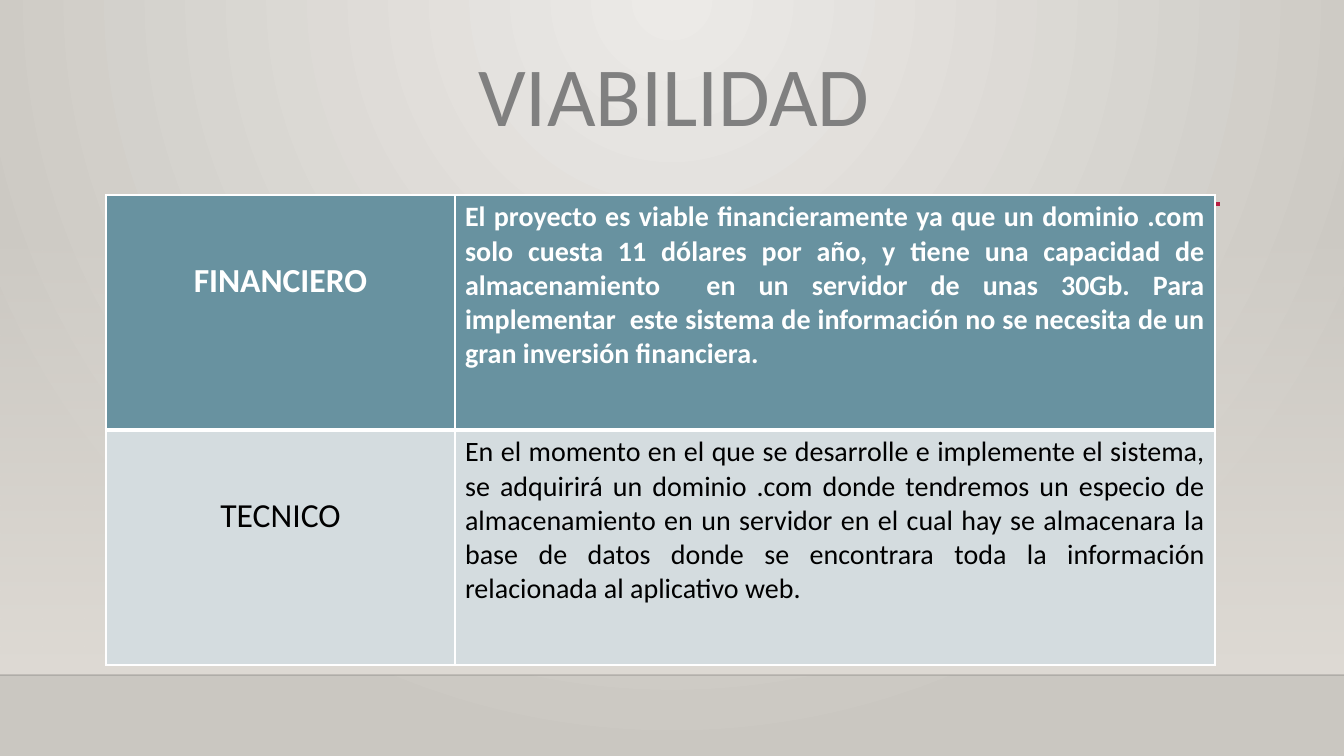
from lxml import etree
from pptx import Presentation
from pptx.dml.color import RGBColor
from pptx.enum.shapes import MSO_CONNECTOR, MSO_SHAPE
from pptx.enum.text import MSO_ANCHOR, PP_ALIGN
from pptx.oxml import parse_xml
from pptx.oxml.ns import nsdecls, qn
from pptx.util import Pt

# Content
TITLE = "VIABILIDAD "
ROWS = [
    dict(label="FINANCIERO", fill="6892A0", ink="FFFFFF", bold=True, top=1, bottom=3,
         detail="El proyecto es viable financieramente ya que un dominio .com solo cuesta "
                "11 dólares por año, y tiene una capacidad de almacenamiento  en un servidor "
                "de unas 30Gb. Para implementar  este sistema de información no se necesita "
                "de un gran inversión financiera."),
    dict(label="TECNICO", fill="D4DCDF", ink="000000", bold=False, top=3, bottom=1,
         detail="En el momento en el que se desarrolle e implemente el sistema, se adquirirá "
                "un dominio .com donde tendremos un especio de almacenamiento en un servidor "
                "en el cual hay se almacenara la base de datos donde se encontrara toda la "
                "información relacionada al aplicativo web."),
]
FONT = "Calibri"

# Layout in pixels
WIDTH, HEIGHT = 1344, 756
FLOOR = 675
WALL_TOP = 223
TABLE_LEFT, TABLE_TOP = 106, 195
COLUMNS = [349, 760]
ROW_HEIGHT = 235
LABEL_DROP = 66


def px(pixels):
    return round(pixels * 914400 / 100.8)


def rgb(code):
    return RGBColor.from_string(code)


def set_alpha(color_element, percent):
    etree.SubElement(color_element, qn("a:alpha")).set("val", str(percent * 1000))


def set_gradient(fill, *colors):
    fill.gradient()
    for stop, color in zip(fill.gradient_stops, colors):
        stop.color.rgb = rgb(color)


def write(paragraph, text, size, color, align, bold=False):
    paragraph.text = text
    paragraph.alignment = align
    font = paragraph.font
    font.name, font.size, font.bold = FONT, Pt(size), bold
    font.color.rgb = rgb(color)


def add_rule(left, right, y, color, weight):
    rule = slide.shapes.add_connector(MSO_CONNECTOR.STRAIGHT, px(left), px(y), px(right), px(y))
    rule.line.color.rgb = rgb(color)
    rule.line.width = Pt(weight)
    etree.SubElement(rule._element.spPr, qn("a:effectLst"))
    return rule


def set_borders(cell, top, bottom):
    properties = cell._tc.get_or_add_tcPr()
    sides = [("lnL", 1), ("lnR", 1), ("lnT", top), ("lnB", bottom)]
    for place, (side, weight) in enumerate(sides):
        properties.insert(place, parse_xml(
            f'<a:{side} {nsdecls("a")} w="{Pt(weight)}"><a:solidFill>'
            f'<a:srgbClr val="FFFFFF"/></a:solidFill></a:{side}>'))


prs = Presentation()
prs.slide_width, prs.slide_height = px(WIDTH), px(HEIGHT)
slide = prs.slides.add_slide(prs.slide_layouts[6])

# Background: circular glow from the top centre
set_gradient(slide.background.fill, "ECEAE7", "CAC7C1")
glow = slide._element.find(".//" + qn("a:gradFill"))
glow.replace(glow.find(qn("a:lin")), parse_xml(
    f'<a:path {nsdecls("a")} path="circle">'
    '<a:fillToRect l="43000" t="0" r="43000" b="100000"/></a:path>'))

# Wall fading in downwards, and floor line
wall = slide.shapes.add_shape(MSO_SHAPE.RECTANGLE, 0, px(WALL_TOP), px(WIDTH), px(FLOOR - WALL_TOP))
wall.shadow.inherit = False
wall.line.fill.background()
set_gradient(wall.fill, "DFDBD5", "DFDBD5")
wall.fill.gradient_angle = 270
set_alpha(wall._element.spPr.find(".//" + qn("a:srgbClr")), 0)

floor_line = add_rule(0, WIDTH, FLOOR, "000001", 1)
set_alpha(floor_line._element.spPr.find(".//" + qn("a:srgbClr")), 20)
add_rule(160, 1220, 204, "B71E42", 2.5)

# Title
title = slide.shapes.add_textbox(px(185), px(45), px(997), px(119)).text_frame
title.word_wrap = True
title.margin_top = px(9)
write(title.paragraphs[0], TITLE, 60, "808080", PP_ALIGN.CENTER)
title.paragraphs[0].line_spacing = 0.9

# Table
table = slide.shapes.add_table(len(ROWS), len(COLUMNS), px(TABLE_LEFT), px(TABLE_TOP),
                               px(sum(COLUMNS)), px(ROW_HEIGHT * len(ROWS))).table
table.first_row = table.horz_banding = False
for column, width in zip(table.columns, COLUMNS):
    column.width = px(width)
for row, content in zip(table.rows, ROWS):
    row.height = px(ROW_HEIGHT)
    label, detail = row.cells
    for cell, key, size, align in [(label, "label", 24, PP_ALIGN.CENTER),
                                   (detail, "detail", 20, PP_ALIGN.JUSTIFY)]:
        cell.fill.solid()
        cell.fill.fore_color.rgb = rgb(content["fill"])
        cell.vertical_anchor = MSO_ANCHOR.TOP
        set_borders(cell, content["top"], content["bottom"])
        write(cell.text_frame.paragraphs[0], content[key], size,
              content["ink"], align, content["bold"])
    label.margin_top = px(LABEL_DROP)

prs.save("out.pptx")
